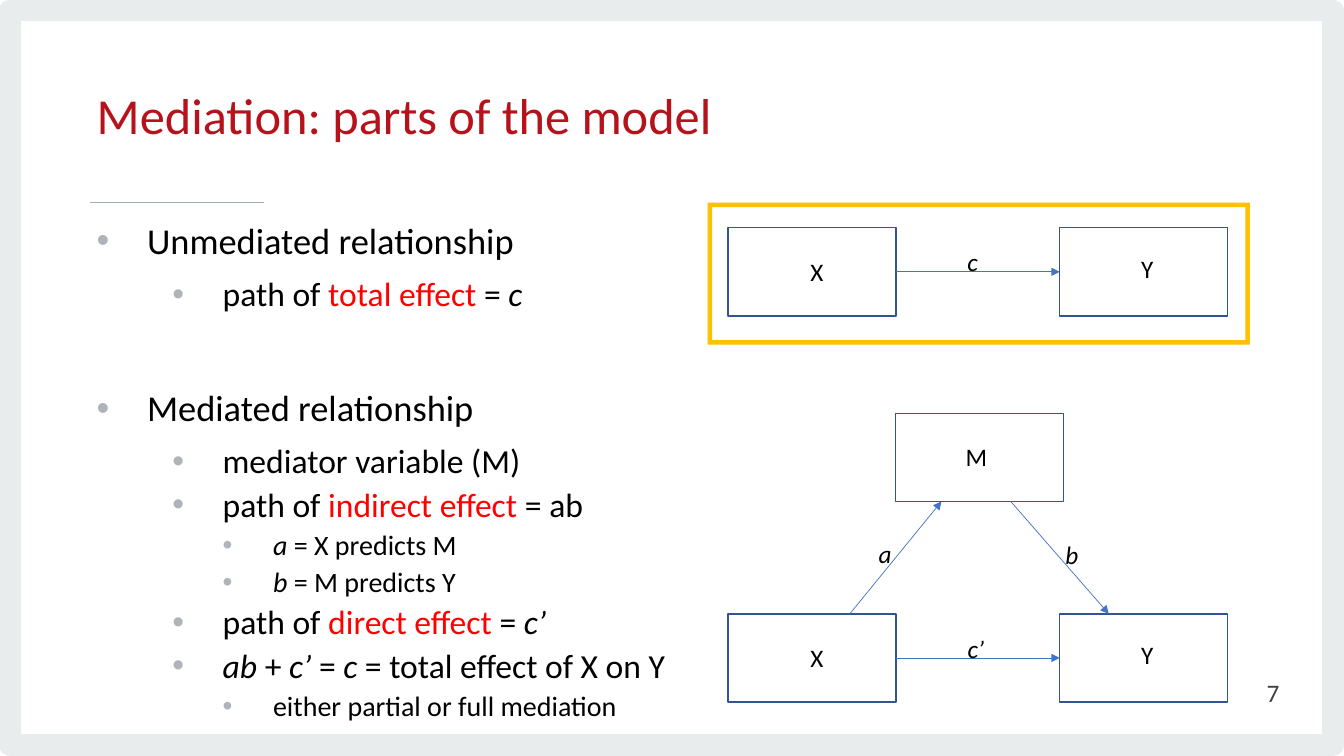
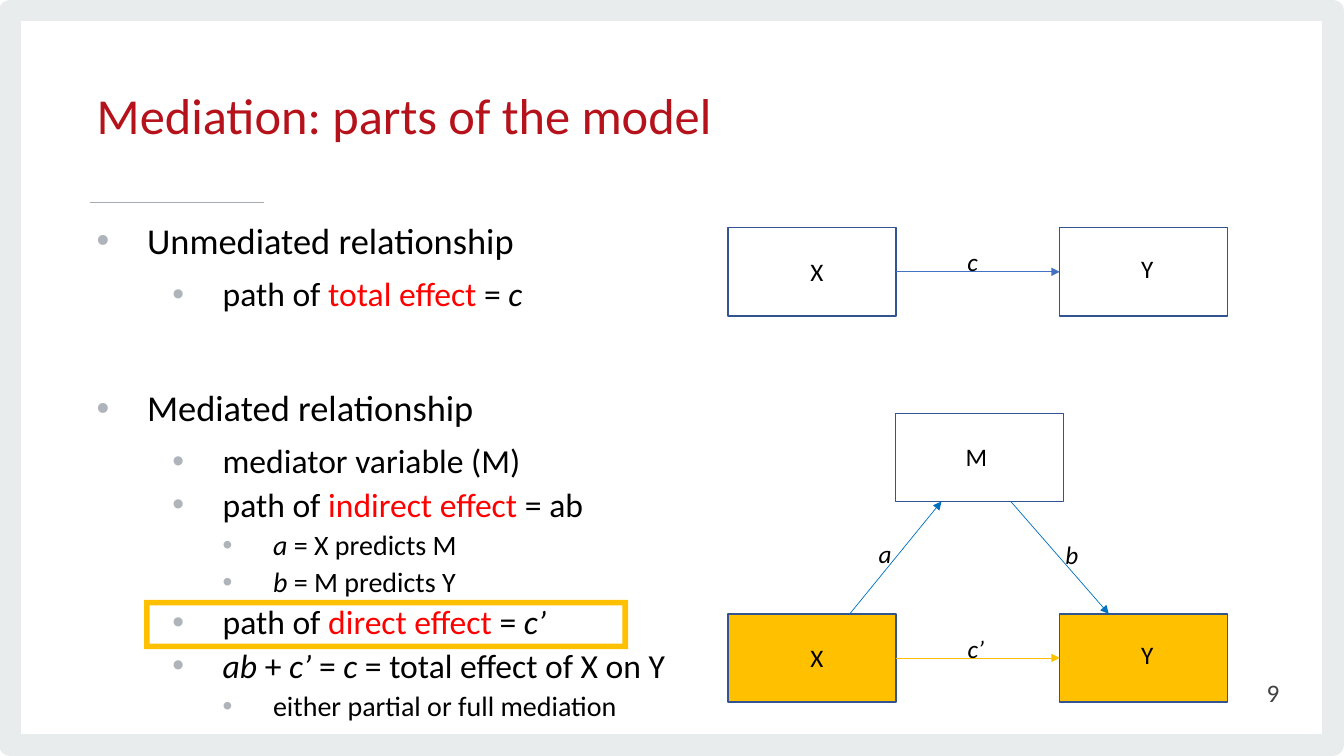
"""Build two slides on the parts of a mediation model."""
import lxml.etree
import pptx
import pptx.dml.color
import pptx.enum.shapes
import pptx.enum.text
import pptx.oxml.ns
import pptx.util

Pt = pptx.util.Pt
RGBColor = pptx.dml.color.RGBColor
SHAPES = pptx.enum.shapes.MSO_SHAPE
ALIGN = pptx.enum.text.PP_ALIGN
ANCHOR = pptx.enum.text.MSO_ANCHOR
qn = pptx.oxml.ns.qn

BLACK = RGBColor(0x00, 0x00, 0x00)
RED = RGBColor(0xFF, 0x00, 0x00)
CRIMSON = RGBColor(0xB5, 0x12, 0x1B)
CHARCOAL = RGBColor(0x41, 0x40, 0x42)
BORDER_GREY = RGBColor(0xE9, 0xEC, 0xED)
RULE_GREY = RGBColor(0xA6, 0xAD, 0xB1)
BULLET_GREY = RGBColor(0xAE, 0xB4, 0xB9)
NODE_BLUE = RGBColor(0x32, 0x54, 0x91)
ARROW_BLUE = RGBColor(0x44, 0x72, 0xC4)
BRIGHT_BLUE = RGBColor(0x00, 0x70, 0xC0)
GOLD = RGBColor(0xFF, 0xC0, 0x00)

FONT = "Calibri"
NODE_WIDTH, NODE_HEIGHT = 120, 63
X_LEFT, M_LEFT, Y_LEFT = 520, 639.5, 757
UNMEDIATED_TOP, M_TOP, MEDIATED_TOP = 162.7, 295.2, 438.5

LEVELS = [
    {"size": 26, "indent": 36, "before": 10, "after": 6},
    {"size": 24, "indent": 90, "before": 5, "after": 0},
    {"size": 20, "indent": 126, "before": 5, "after": 0},
]
SECTION_GAP = 54.6

PLAIN, KEY, SYMBOL = "plain", "key", "symbol"
OUTLINE = [
    (0, [("Unmediated relationship", PLAIN)]),
    (1, [("path of ", PLAIN), ("total effect ", KEY), ("= ", PLAIN), ("c", SYMBOL)]),
    (0, [("Mediated relationship", PLAIN)]),
    (1, [("mediator variable (M)", PLAIN)]),
    (1, [("path of ", PLAIN), ("indirect effect", KEY), (" = ab", PLAIN)]),
    (2, [("a", SYMBOL), (" = X predicts M", PLAIN)]),
    (2, [("b", SYMBOL), (" = M predicts Y", PLAIN)]),
    (1, [("path of ", PLAIN), ("direct effect ", KEY), ("= ", PLAIN), ("c’", SYMBOL)]),
    (1, [("ab", SYMBOL), (" + ", PLAIN), ("c’", SYMBOL), (" = ", PLAIN),
         ("c", SYMBOL), (" = total effect of X on Y", PLAIN)]),
    (2, [("either partial or full mediation", PLAIN)]),
]


def add_run(paragraph, text, size, colour=BLACK, italic=False):
    """Append one formatted run."""
    run = paragraph.add_run()
    run.text = text
    run.font.name = FONT
    run.font.size = Pt(size)
    run.font.color.rgb = colour
    run.font.italic = italic


def add_text_frame(slide, left, top, width, height, anchor=ANCHOR.TOP):
    """Add a wrapping text box and return its text frame."""
    frame = slide.shapes.add_textbox(Pt(left), Pt(top), Pt(width), Pt(height)).text_frame
    frame.word_wrap = True
    frame.vertical_anchor = anchor
    return frame


def add_label(slide, text, left, top, width, italic=False):
    """Add a diagram label that does not wrap."""
    frame = add_text_frame(slide, left, top, width, 29)
    frame.word_wrap = False
    frame.auto_size = pptx.enum.text.MSO_AUTO_SIZE.SHAPE_TO_FIT_TEXT
    add_run(frame.paragraphs[0], text, 18, italic=italic)


def add_box(slide, preset, left, top, width, height, fill=None, line=None, weight=1):
    """Add a preset shape with optional fill and outline."""
    box = slide.shapes.add_shape(preset, Pt(left), Pt(top), Pt(width), Pt(height))
    box.shadow.inherit = False
    if fill is None:
        box.fill.background()
    else:
        box.fill.solid()
        box.fill.fore_color.rgb = fill
    if line is None:
        box.line.fill.background()
    else:
        box.line.color.rgb = line
        box.line.width = Pt(weight)
    return box


def add_node(slide, left, top, fill=None):
    """Add the rectangle of one variable."""
    return add_box(slide, SHAPES.RECTANGLE, left, top, NODE_WIDTH, NODE_HEIGHT, fill, NODE_BLUE)


def add_line(slide, start, end, colour, weight):
    """Add a straight line without shadow."""
    line = slide.shapes.add_connector(
        pptx.enum.shapes.MSO_CONNECTOR.STRAIGHT, *(Pt(value) for value in (*start, *end)))
    line.line.color.rgb = colour
    line.line.width = Pt(weight)
    lxml.etree.SubElement(line._element.spPr, qn("a:effectLst"))
    return line


def add_arrow(slide, start, end, colour):
    """Add a thin line with an arrowhead at its end."""
    arrow = add_line(slide, start, end, colour, 0.5)
    lxml.etree.SubElement(arrow.line._get_or_add_ln(), qn("a:tailEnd"), type="triangle")
    return arrow


def add_highlight(slide, left, top, width, height, thickness):
    """Add a gold frame around a part of the slide."""
    frame = add_box(slide, SHAPES.FRAME, left, top, width, height, GOLD)
    frame.adjustments[0] = thickness


def add_bullet(paragraph, indent):
    """Give a paragraph a grey bullet with a hanging indent."""
    properties = paragraph._p.get_or_add_pPr()
    properties.set("marL", str(Pt(indent)))
    properties.set("indent", str(-Pt(36)))
    colour = lxml.etree.SubElement(properties, qn("a:buClr"))
    lxml.etree.SubElement(colour, qn("a:srgbClr"), val=str(BULLET_GREY))
    lxml.etree.SubElement(properties, qn("a:buFont"), typeface="Arial")
    lxml.etree.SubElement(properties, qn("a:buChar"), char="•")


def add_outline(slide):
    """Add the bulleted list of relationships and effects."""
    frame = add_text_frame(slide, 62, 155.5, 443.5, 364)
    for position, (level, runs) in enumerate(OUTLINE):
        paragraph = frame.add_paragraph() if position else frame.paragraphs[0]
        style = LEVELS[level]
        new_section = position and level == 0
        paragraph.level = level
        paragraph.line_spacing = 0.9
        paragraph.space_before = Pt(SECTION_GAP if new_section else style["before"])
        paragraph.space_after = Pt(style["after"])
        add_bullet(paragraph, style["indent"])
        for text, role in runs:
            add_run(paragraph, text, style["size"], RED if role == KEY else BLACK, role == SYMBOL)


def add_x_to_y(slide, top, effect, arrow_colour, fill=None):
    """Add X, Y and the arrow between them."""
    x_node = add_node(slide, X_LEFT, top, fill)
    y_node = add_node(slide, Y_LEFT, top, fill)
    middle = top + NODE_HEIGHT / 2
    arrow = add_arrow(slide, (X_LEFT + NODE_WIDTH, middle), (Y_LEFT, middle), arrow_colour)
    arrow.begin_connect(x_node, 3)
    arrow.end_connect(y_node, 1)
    add_label(slide, "X", 571.7, top + 16.6, 24)
    add_label(slide, "Y", 808, top + 14.4, 23)
    add_label(slide, effect, 684, top + 10, 22 if len(effect) == 1 else 26.5, italic=True)


def add_mediator(slide, arrow_colour):
    """Add M with the arrows from X and to Y."""
    m_bottom = M_TOP + NODE_HEIGHT
    add_node(slide, M_LEFT, M_TOP)
    add_arrow(slide, (607, MEDIATED_TOP), (672.5, m_bottom), arrow_colour)
    add_arrow(slide, (722, m_bottom), (792, MEDIATED_TOP), arrow_colour)
    add_label(slide, "M", 682.6, 311.8, 30)
    add_label(slide, "a", 620.6, 381, 24, italic=True)
    add_label(slide, "b", 754, 381.5, 24, italic=True)


def add_model_slide(deck, number, mediator_colour, direct_colour, direct_fill=None):
    """Add a slide with border, title, outline and both models."""
    slide = deck.slides.add_slide(deck.slide_layouts[6])
    add_box(slide, SHAPES.RECTANGLE, 7.2, 7.2, 945, 525, line=BORDER_GREY, weight=15.11)
    add_line(slide, (64, 144.7), (188.6, 144.7), RULE_GREY, 1.33)
    add_outline(slide)

    title = add_text_frame(slide, 62, 37.5, 633, 96.5, ANCHOR.MIDDLE).paragraphs[0]
    title.line_spacing = Pt(34.7)
    title.space_before = Pt(7.5)
    add_run(title, "Mediation: parts of the model", 36, CRIMSON)

    footer = add_text_frame(slide, 705, 480.2, 216, 29, ANCHOR.MIDDLE).paragraphs[0]
    footer.alignment = ALIGN.RIGHT
    add_run(footer, str(number), 18, CHARCOAL)

    add_x_to_y(slide, MEDIATED_TOP, "c’", direct_colour, direct_fill)
    add_mediator(slide, mediator_colour)
    add_x_to_y(slide, UNMEDIATED_TOP, "c", ARROW_BLUE)
    return slide


def main():
    """Build and save the deck."""
    deck = pptx.Presentation()
    deck.slide_width, deck.slide_height = Pt(960), Pt(540)

    total_effect = add_model_slide(deck, 7, ARROW_BLUE, ARROW_BLUE)
    add_highlight(total_effect, 505.4, 144.7, 387.4, 101.5, 0.032)

    direct_effect = add_model_slide(deck, 9, BRIGHT_BLUE, GOLD, GOLD)
    add_highlight(direct_effect, 103, 428.4, 345.6, 35.3, 0.113)

    deck.save("out.pptx")


if __name__ == "__main__":
    main()
